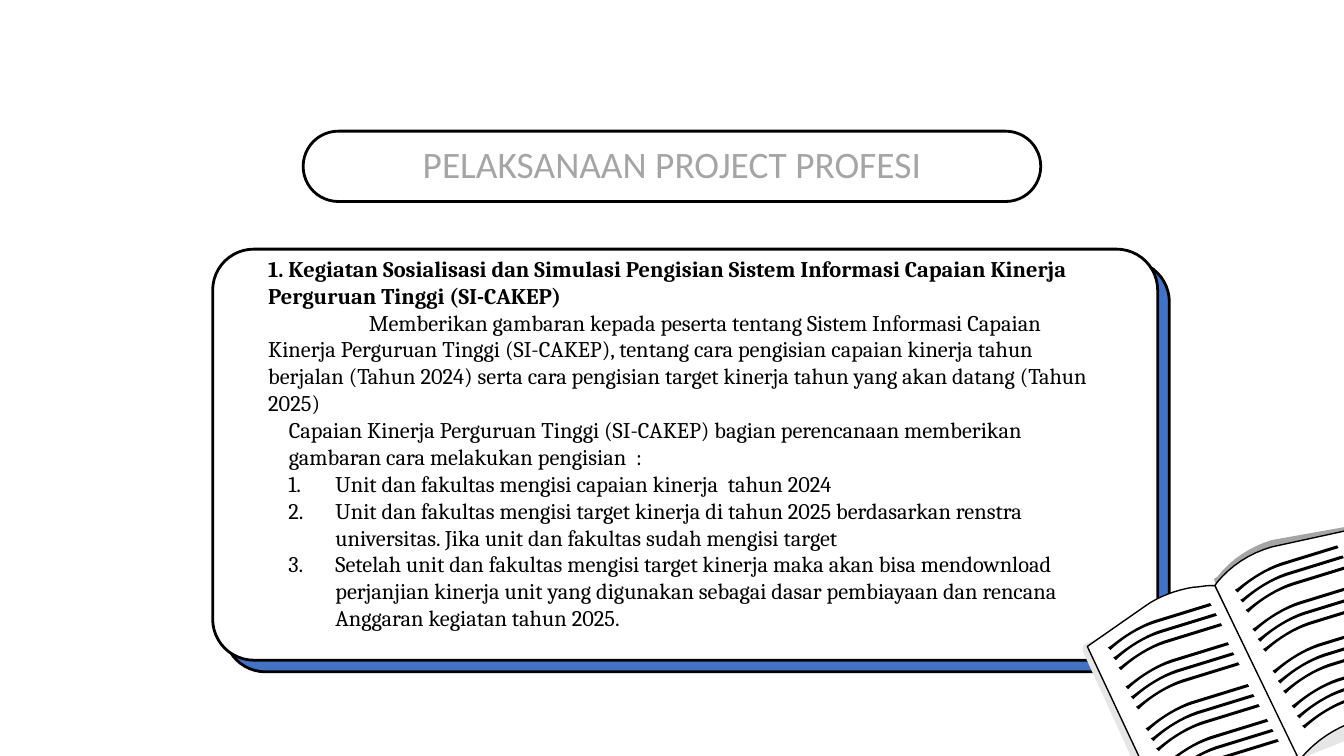
import pptx
import pptx.dml.color
import pptx.enum.shapes
import pptx.enum.text
import pptx.oxml.ns
import pptx.util
from lxml import etree

Cm = pptx.util.Cm
Pt = pptx.util.Pt
RGBColor = pptx.dml.color.RGBColor

BLACK = RGBColor(0x00, 0x00, 0x00)
WHITE = RGBColor(0xFF, 0xFF, 0xFF)
BLUE = RGBColor(0x44, 0x72, 0xC4)
GREY = RGBColor(0xA5, 0xA5, 0xA5)
LIGHT_GREY = RGBColor(0xE7, 0xE6, 0xE6)

HEADING = ("1. Kegiatan Sosialisasi dan Simulasi Pengisian Sistem Informasi Capaian Kinerja "
           "Perguruan Tinggi (SI-CAKEP)")
OVERVIEW = ("Memberikan gambaran kepada peserta tentang Sistem Informasi Capaian Kinerja "
            "Perguruan Tinggi (SI-CAKEP), tentang cara pengisian capaian kinerja tahun berjalan "
            "(Tahun 2024) serta cara pengisian target kinerja tahun yang akan datang (Tahun 2025)")
INTRODUCTION = ("Capaian Kinerja Perguruan Tinggi (SI-CAKEP) bagian perencanaan memberikan "
                "gambaran cara melakukan pengisian  :")
STEPS = [
    "Unit dan fakultas mengisi capaian kinerja  tahun 2024",
    "Unit dan fakultas mengisi target kinerja di tahun 2025 berdasarkan renstra universitas. "
    "Jika unit dan fakultas sudah mengisi target",
    "Setelah unit dan fakultas mengisi target kinerja maka akan bisa mendownload perjanjian "
    "kinerja unit yang digunakan sebagai dasar pembiayaan dan rencana Anggaran kegiatan tahun 2025.",
]

# Outlines in cm: a pair is a corner, six numbers are a Bézier curve.
RIGHT_COVER = [
    (25.7, 9.91), (25.76, 9.88, 25.83, 9.91, 25.83, 9.96), (27.2, 13.16),
    (27.23, 13.21, 27.2, 13.28, 27.15, 13.31), (24.56, 14.35), (23.06, 11.05)]
LEFT_COVER = [
    (23.14, 11), (24.59, 14.33), (22.07, 15.54), (22, 15.57, 21.92, 15.54, 21.92, 15.49),
    (20.47, 12.32), (20.45, 12.27, 20.47, 12.19, 20.52, 12.17)]
PAGE_EDGE = [
    (25.6, 9.93), (27.2, 13.26), (25.6, 13.54), (25.22, 13.67, 24.87, 13.89, 24.59, 14.2),
    (24.54, 14.27), (22.94, 10.95), (23.01, 10.9), (23.27, 10.57, 23.62, 10.34, 24.03, 10.21)]
RIGHT_PAGE = [
    (25.45, 10.03), (27.03, 13.36), (25.6, 13.64), (25.22, 13.77, 24.87, 14, 24.59, 14.33),
    (24.54, 14.38), (22.96, 11.07), (23.01, 11), (23.27, 10.69, 23.62, 10.46, 24.03, 10.34)]
LEFT_PAGE = [
    (22.56, 11.1), (22.66, 11.1, 22.76, 11.07, 22.89, 11.07), (22.96, 11.07), (24.56, 14.38),
    (24.46, 14.38), (24.36, 14.4, 24.28, 14.4, 24.18, 14.43),
    (23.88, 14.48, 23.57, 14.58, 23.32, 14.76), (22.17, 15.67), (20.55, 12.22),
    (21.64, 11.46), (21.89, 11.28, 22.23, 11.15, 22.56, 11.1)]

# One printed line, relative to its upper right end.
PRINTED_LINE = [
    (0, 0), (0.03, 0.05), (-1.04, 0.38), (-1.35, 0.48, -1.6, 0.64, -1.83, 0.84),
    (-1.88, 0.89), (-1.93, 0.84), (-1.88, 0.81), (-1.63, 0.61, -1.35, 0.43, -1.07, 0.33)]
PRINTED_BLOCKS = [(25.27, 10.31), (25.6, 11.05), (25.98, 11.84), (26.34, 12.5)]
LINES_PER_BLOCK = 3
LINE_STEP = (0.1, 0.19)
LEFT_PAGE_SHIFT = (-2.4, 1.09)


def flatten(outline, offset=(0, 0), steps=8):
    """Return the outline as EMU points, with each curve cut into short straight pieces."""
    points = []
    for part in outline:
        if len(part) == 2:
            points.append(part)
            continue
        controls = [points[-1], part[0:2], part[2:4], part[4:6]]
        for step in range(1, steps + 1):
            t = step / steps
            weights = ((1 - t) ** 3, 3 * t * (1 - t) ** 2, 3 * t * t * (1 - t), t ** 3)
            points.append(tuple(sum(weight * control[axis]
                                    for weight, control in zip(weights, controls))
                                for axis in (0, 1)))
    return [(Cm(x + offset[0]), Cm(y + offset[1])) for x, y in points]


class SlideBuilder:
    body_font = "Cambria"
    title_font = "Calibri"
    inset = Cm(0.25)

    def __init__(self, slide):
        self.slide = slide

    def style(self, shape, fill, line_width):
        shape.shadow.inherit = False
        shape.fill.solid()
        shape.fill.fore_color.rgb = fill
        if line_width:
            shape.line.color.rgb = BLACK
            shape.line.width = Pt(line_width)
        else:
            shape.line.fill.background()

    def rounded_box(self, left, top, width, height, rounding, fill):
        shape = self.slide.shapes.add_shape(
            pptx.enum.shapes.MSO_SHAPE.ROUNDED_RECTANGLE,
            Cm(left), Cm(top), Cm(width), Cm(height))
        shape.adjustments[0] = rounding
        self.style(shape, fill, 1.5)

    def outline(self, contours, fill, line_width=0):
        builder = self.slide.shapes.build_freeform(*contours[0][0])
        for index, points in enumerate(contours):
            if index:
                builder.move_to(*points[0])
            builder.add_line_segments(points[1:], close=True)
        self.style(builder.convert_to_shape(), fill, line_width)

    def prepare_frame(self, frame):
        frame.word_wrap = True
        frame.auto_size = pptx.enum.text.MSO_AUTO_SIZE.NONE
        frame.vertical_anchor = pptx.enum.text.MSO_ANCHOR.MIDDLE
        frame.margin_left = frame.margin_right = self.inset
        frame.margin_top = frame.margin_bottom = self.inset

    def title(self, text, left, top, width, height):
        shape = self.slide.shapes.title
        shape.left, shape.top, shape.width, shape.height = Cm(left), Cm(top), Cm(width), Cm(height)
        shape.text_frame.text = text
        self.prepare_frame(shape.text_frame)
        paragraph = shape.text_frame.paragraphs[0]
        paragraph.alignment = pptx.enum.text.PP_ALIGN.CENTER
        paragraph.line_spacing = 0.9
        paragraph.font.name = self.title_font
        paragraph.font.size = Pt(20)
        paragraph.font.color.rgb = GREY
        # Bring the placeholder in front of its frame.
        self.slide.shapes._spTree.append(shape._element)

    def body(self, entries, left, top, width, height, bottom_inset):
        """Each entry is text, left margin, first-line indent, bold, numbered."""
        frame = self.slide.shapes.add_textbox(Cm(left), Cm(top), Cm(width), Cm(height)).text_frame
        self.prepare_frame(frame)
        frame.margin_bottom = Cm(bottom_inset)
        for index, (text, margin, indent, bold, numbered) in enumerate(entries):
            paragraph = frame.add_paragraph() if index else frame.paragraphs[0]
            paragraph.text = text
            paragraph.font.name = self.body_font
            paragraph.font.size = Pt(12)
            paragraph.font.bold = bold
            paragraph.font.color.rgb = BLACK
            properties = paragraph._p.get_or_add_pPr()
            properties.set("marL", str(Cm(margin)))
            properties.set("indent", str(Cm(indent)))
            if numbered:
                number = etree.Element(pptx.oxml.ns.qn("a:buAutoNum"), type="arabicPeriod")
                properties.insert(0, number)

    def printed_lines(self, shift=(0, 0)):
        contours = [
            flatten(PRINTED_LINE, (x + row * LINE_STEP[0] + shift[0],
                                   y + row * LINE_STEP[1] + shift[1]))
            for x, y in PRINTED_BLOCKS for row in range(LINES_PER_BLOCK)]
        self.outline(contours, BLACK)

    def book(self):
        for outline, fill, line_width in (
                (RIGHT_COVER, LIGHT_GREY, 0), (LEFT_COVER, LIGHT_GREY, 0),
                (PAGE_EDGE, GREY, 0), (RIGHT_PAGE, WHITE, 0.75), (LEFT_PAGE, WHITE, 0.75)):
            self.outline([flatten(outline)], fill, line_width)
        self.printed_lines()
        self.printed_lines(LEFT_PAGE_SHIFT)


def main():
    presentation = pptx.Presentation()
    presentation.slide_width, presentation.slide_height = Cm(25.4), Cm(14.29)
    builder = SlideBuilder(presentation.slides.add_slide(presentation.slide_layouts[5]))

    builder.rounded_box(5.73, 2.48, 13.94, 1.33, 0.5, WHITE)
    for left, top, fill in ((4.24, 4.93, BLUE), (4.02, 4.71, WHITE)):
        builder.rounded_box(left, top, 17.86, 7.77, 0.1, fill)
    entries = [(HEADING, 0, 0, True, False), (OVERVIEW, 0, 1.9, False, False),
               (INTRODUCTION, 0.39, 0, False, False)]
    entries += [(step, 1.27, -0.89, False, True) for step in STEPS]
    builder.body(entries, 4.82, 6.1, 16.26, 5.44, bottom_inset=1.14)
    builder.title("PELAKSANAAN PROJECT PROFESI", 6.17, 2.69, 13.06, 0.91)
    builder.book()
    presentation.save("out.pptx")


if __name__ == "__main__":
    main()
